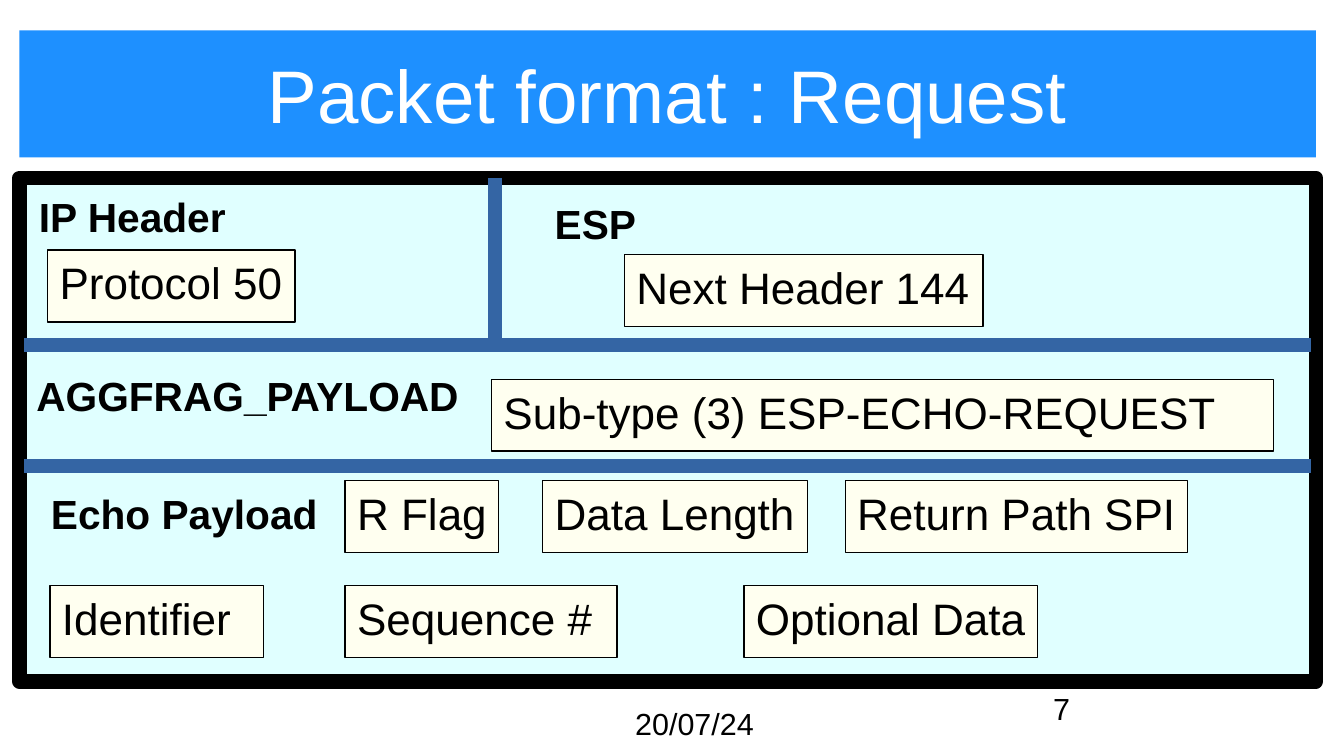
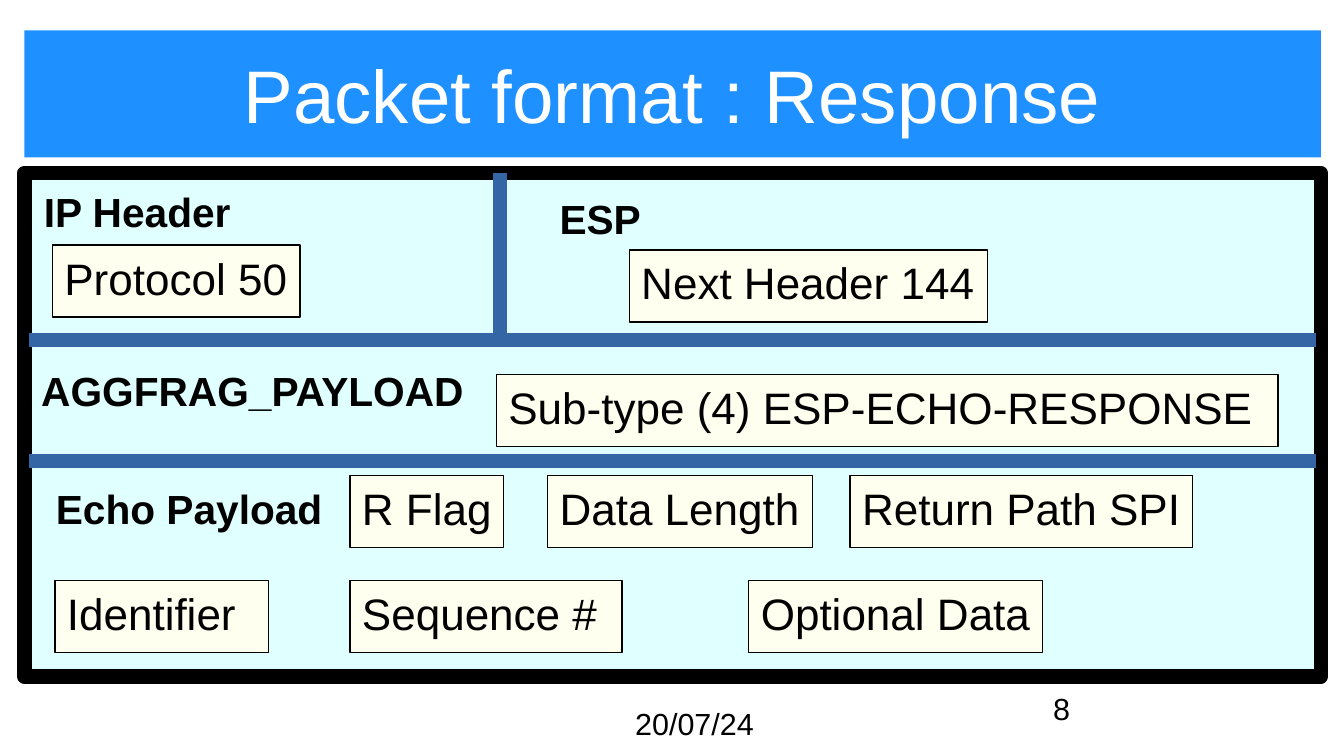
from pptx import Presentation
from pptx import util as u
from pptx.dml.color import RGBColor
from pptx.enum import shapes, text
from pptx.oxml.ns import qn
from lxml import etree

SCALE = 9144  # EMU in one px, 100 px to the inch
ALIGN = {"left": text.PP_ALIGN.LEFT, "mid": text.PP_ALIGN.CENTER}
ANCHOR = {"top": text.MSO_ANCHOR.TOP, "mid": text.MSO_ANCHOR.MIDDLE}


def px(*vals):
    return [u.Emu(v * SCALE) for v in vals]


def paint(part, tint):
    """Give a fill a solid colour."""
    part.solid()
    part.fore_color.rgb = RGBColor.from_string(tint)


def write(shape, words, size=26, tint="000000", bold=False, align="left",
          anchor="top", pad=(10, 5, 0, 5)):
    frame = shape.text_frame
    frame.word_wrap = True
    frame.auto_size = text.MSO_AUTO_SIZE.NONE
    frame.vertical_anchor = ANCHOR[anchor]
    (frame.margin_left, frame.margin_top,
     frame.margin_right, frame.margin_bottom) = px(*pad)
    para = frame.paragraphs[0]
    para.alignment = ALIGN[align]
    run = para.add_run()
    run.text = words
    font = run.font
    font.name, font.size, font.bold = "Arial", u.Pt(size), bold
    font.color.rgb = RGBColor.from_string(tint)


class Deck:
    BAND, WHITE, BLACK = "1E90FF", "FFFFFF", "000000"
    PANEL, FIELD, RULE = "E0FFFF", "FFFFF0", "3465A4"
    THICK = 8.5

    def __init__(self, wide, high):
        self.prs = Presentation()
        self.prs.slide_width, self.prs.slide_height = px(wide, high)
        self.slide = None
        self.dx = self.dy = 0

    def page(self, title, number, dx, dy):
        """Start a slide; dx and dy move its diagram, dx its title too."""
        self.slide = self.prs.slides.add_slide(self.prs.slide_layouts[5])
        self.dx, self.dy = dx, dy
        band = self.slide.shapes.title
        band.left, band.top, band.width, band.height = px(16 + dx, 25, 1063, 104)
        paint(band.fill, self.BAND)
        write(band, title, size=44, tint=self.WHITE, align="mid",
              anchor="mid", pad=(0, 0, 0, 0))
        # Footer
        self.note("20/07/24", 511, 573, 138)
        self.note(number, 661, 561, 419, align="mid", pad=(0, 5, 0, 5))

    def note(self, words, x, y, w, **look):
        box = self.slide.shapes.add_textbox(*px(x, y, w, 47))
        write(box, words, size=18, **look)

    def label(self, words, x, y, w):
        box = self.slide.shapes.add_textbox(*px(x + self.dx, y + self.dy, w, 47))
        write(box, words, size=24, bold=True)

    def block(self, words, x, y, w, h, fill, line, **look):
        box = self.slide.shapes.add_shape(
            shapes.MSO_SHAPE.RECTANGLE, *px(x + self.dx, y + self.dy, w, h))
        box.shadow.inherit = False
        paint(box.fill, fill)
        paint(box.line.fill, self.BLACK)
        box.line.width = u.Pt(line)
        etree.SubElement(box.line._get_or_add_ln(), qn("a:round"))
        write(box, words, **look)

    def panel(self, words, x, y, w, h):
        self.block(words, x, y, w, h, self.PANEL, self.THICK,
                   size=24, bold=True, pad=(16, 11, 16, 11))

    def field(self, words, x, y, w):
        self.block(words, x, y, w, 59, self.FIELD, 0)

    def rule(self, x1, y1, x2, y2):
        dx, dy = self.dx, self.dy
        line = self.slide.shapes.add_connector(
            shapes.MSO_CONNECTOR.STRAIGHT,
            *px(x1 + dx, y1 + dy, x2 + dx, y2 + dy))
        paint(line.line.fill, self.RULE)
        line.line.width = u.Pt(self.THICK)
        etree.SubElement(line._element.spPr, qn("a:effectLst"))


FIELDS = [  # words, left, top, width
    ("Protocol 50", 39, 205, 203),
    ("Next Header 144", 512, 209, 294),
    ("R Flag", 283, 394, 126),
    ("Data Length", 445, 394, 217),
    ("Return Path SPI", 693, 394, 281),
    ("Identifier", 41, 480, 175),
    ("Sequence #", 283, 480, 223),
    ("Optional Data", 610, 480, 241),
]
LABELS = [  # words, left, top, width
    ("ESP", 445, 158, 157),
    ("AGGFRAG_PAYLOAD", 20, 299, 394),
    ("Echo Payload", 32, 396, 243),
]
RULES = [(406, 146, 406, 283), (20, 283, 1075, 283), (20, 382, 1075, 382)]
PAGES = [  # kind, sub-type, slide number, shift
    ("Request", 3, "7", (0, 0)),
    ("Response", 4, "8", (4, -4)),
]


def main():
    deck = Deck(1102, 620)
    for kind, code, number, shift in PAGES:
        deck.page(f"Packet format : {kind}", number, *shift)
        # Packet frame and its rows
        deck.panel("IP Header", 16, 146, 1063, 413)
        for ends in RULES:
            deck.rule(*ends)
        # Names and fields of each part
        for item in LABELS:
            deck.label(*item)
        for item in FIELDS:
            deck.field(*item)
        deck.field(f"Sub-type ({code}) ESP-ECHO-{kind.upper()}", 403, 311, 641)
    deck.prs.save("out.pptx")


if __name__ == "__main__":
    main()
